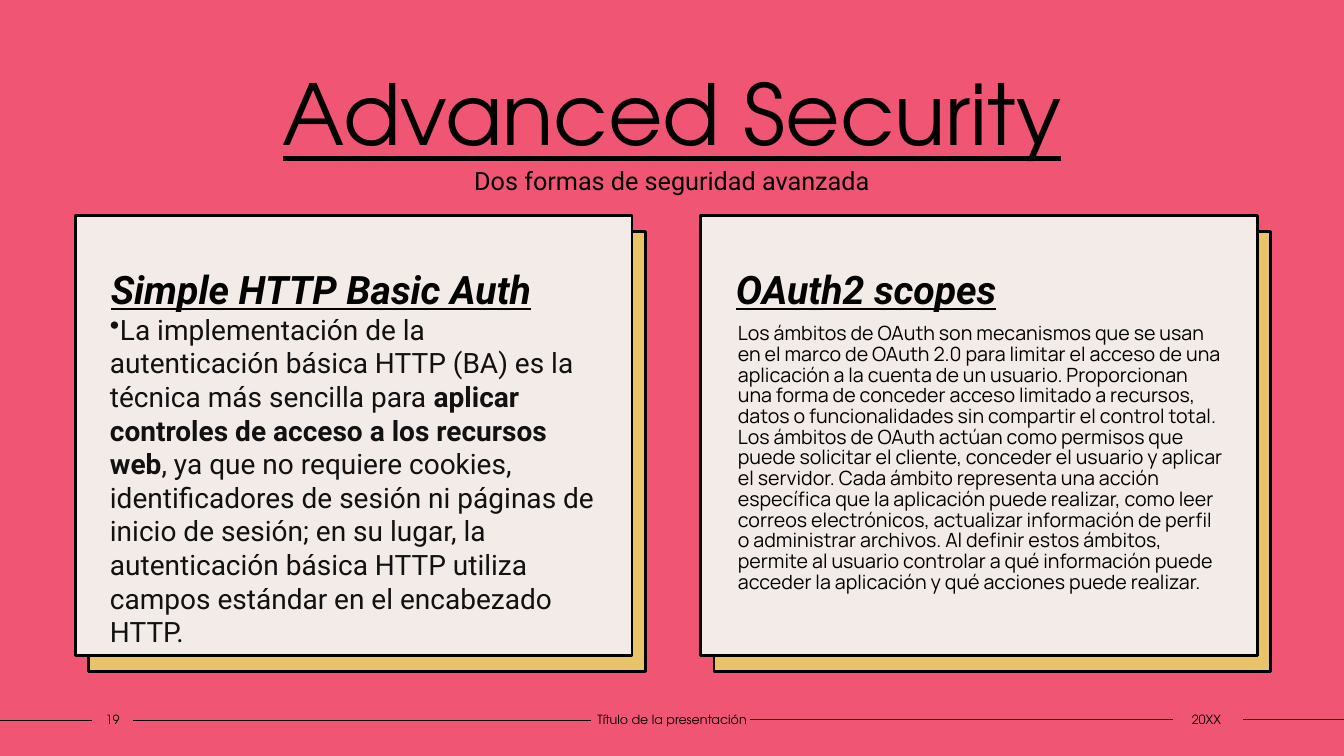
"""Build the Advanced Security slide with two shadowed cards."""
from pptx import Presentation
from pptx.dml.color import RGBColor
from pptx.enum.shapes import MSO_CONNECTOR, MSO_SHAPE
from pptx.enum.text import MSO_ANCHOR, PP_ALIGN
from pptx.oxml.ns import qn
from pptx.util import Pt
from lxml import etree

COLORS = {"pink": "F15574", "gold": "E9C369", "cream": "F3EBE8",
          "black": "000000", "ink": "111111"}
DISPLAY, SANS, BODY = "TeX Gyre Adventor", "Roboto", "Manrope"
CARD_W, CARD_H = 397.5, 314

BASIC_AUTH = [
    ("La implementación de la autenticación básica HTTP (BA) es la técnica "
     "más sencilla para\u00a0", False),
    ("aplicar controles de acceso a los recursos web", True),
    (", ya que no requiere cookies, identificadores de sesión ni páginas de "
     "inicio de sesión; en su lugar, la autenticación básica HTTP utiliza "
     "campos estándar en el encabezado HTTP.", False),
]
SCOPES = [
    "Los ámbitos de OAuth son mecanismos que se usan en el marco de OAuth 2.0 "
    "para limitar el acceso de una aplicación a la cuenta de un usuario. "
    "Proporcionan una forma de conceder acceso limitado a recursos, datos o "
    "funcionalidades sin compartir el control total.",
    "Los ámbitos de OAuth actúan como permisos que puede solicitar el cliente, "
    "conceder el usuario y aplicar el servidor. Cada ámbito representa una "
    "acción específica que la aplicación puede realizar, como leer correos "
    "electrónicos, actualizar información de perfil o administrar archivos. "
    "Al definir estos ámbitos, permite al usuario controlar a qué información "
    "puede acceder la aplicación y qué acciones puede realizar.",
]


def rgb(name):
    return RGBColor.from_string(COLORS[name])


def set_font(p, name, size, color="black"):
    p.font.name, p.font.size = name, Pt(size)
    p.font.color.rgb = rgb(color)


def set_margins(tf, left, top, right, bottom):
    tf.margin_left, tf.margin_top = Pt(left), Pt(top)
    tf.margin_right, tf.margin_bottom = Pt(right), Pt(bottom)


def add_rule(s, x1, x2, y):
    line = s.shapes.add_connector(MSO_CONNECTOR.STRAIGHT,
                                  Pt(x1), Pt(y), Pt(x2), Pt(y))
    line.line.color.rgb = rgb("black")
    line.line.width = Pt(1)
    etree.SubElement(line._element.spPr, qn("a:effectLst"))


def add_panel(s, x, y, fill):
    sp = s.shapes.add_shape(MSO_SHAPE.RECTANGLE,
                            Pt(x), Pt(y), Pt(CARD_W), Pt(CARD_H))
    sp.shadow.inherit = False
    sp.fill.solid()
    sp.fill.fore_color.rgb = rgb(fill)
    sp.line.color.rgb = rgb("black")
    sp.line.width = Pt(2)
    return sp


def add_card(s, x, heading):
    add_panel(s, x + 9.5, 165.5, "gold")
    tf = add_panel(s, x, 154, "cream").text_frame
    tf.word_wrap = True
    tf.vertical_anchor = MSO_ANCHOR.TOP
    set_margins(tf, 25.2, 39.6, 7.2, 3.6)
    p = tf.paragraphs[0]
    p.text = heading
    p.alignment = PP_ALIGN.LEFT
    p.line_spacing, p.space_before = 0.9, Pt(10)
    set_font(p, SANS, 28)
    p.font.bold = p.font.italic = p.font.underline = True


def add_text(s, box, lines, font, size, align=PP_ALIGN.LEFT, spacing=None):
    tf = s.shapes.add_textbox(*map(Pt, box)).text_frame
    tf.word_wrap = True
    tf.text = "\n".join(lines)
    for p in tf.paragraphs:
        p.alignment, p.line_spacing = align, spacing
        set_font(p, font, size)
    return tf


def add_bullet(s, box, runs):
    tf = add_text(s, box, [], SANS, 20)
    p = tf.paragraphs[0]
    set_font(p, SANS, 20, "ink")
    for text, bold in runs:
        r = p.add_run()
        r.text, r.font.bold = text, bold
    bullet = etree.Element(qn("a:buChar"), char="•")
    p._p.get_or_add_pPr().insert(0, bullet)


def add_footer(s, x, w, text):
    tf = add_text(s, (x, 504, w, 19.5), [text], DISPLAY, 9, PP_ALIGN.CENTER)
    tf.vertical_anchor = MSO_ANCHOR.MIDDLE
    set_margins(tf, 0, 3.6, 0, 3.6)


def main():
    prs = Presentation()
    prs.slide_width, prs.slide_height = Pt(960), Pt(540)
    s = prs.slides.add_slide(prs.slide_layouts[6])
    s.background.fill.solid()
    s.background.fill.fore_color.rgb = rgb("pink")

    for x1, x2, y in [(0, 66, 514.5), (95, 422.5, 514.5),
                      (535.5, 838, 514), (888, 960, 514)]:
        add_rule(s, x1, x2, y)
    for x, w, text in [(66, 29, "19"), (422.5, 115, "Título de la presentación"),
                       (836.5, 50.5, "20XX")]:
        add_footer(s, x, w, text)

    title = add_text(s, (90, 40.5, 780, 80), ["Advanced Security"],
                     DISPLAY, 60, PP_ALIGN.CENTER)
    title.paragraphs[0].font.underline = True
    add_text(s, (228, 114.5, 504, 29), ["Dos formas de seguridad avanzada"],
             SANS, 18, PP_ALIGN.CENTER)

    add_card(s, 54, "Simple HTTP Basic Auth")
    add_card(s, 500.5, "OAuth2 scopes")
    add_bullet(s, (71.5, 219.5, 363, 219.5), BASIC_AUTH)
    add_text(s, (520, 228, 363, 219.5), SCOPES, BODY, 14, spacing=0.88)
    prs.save("out.pptx")


if __name__ == "__main__":
    main()
